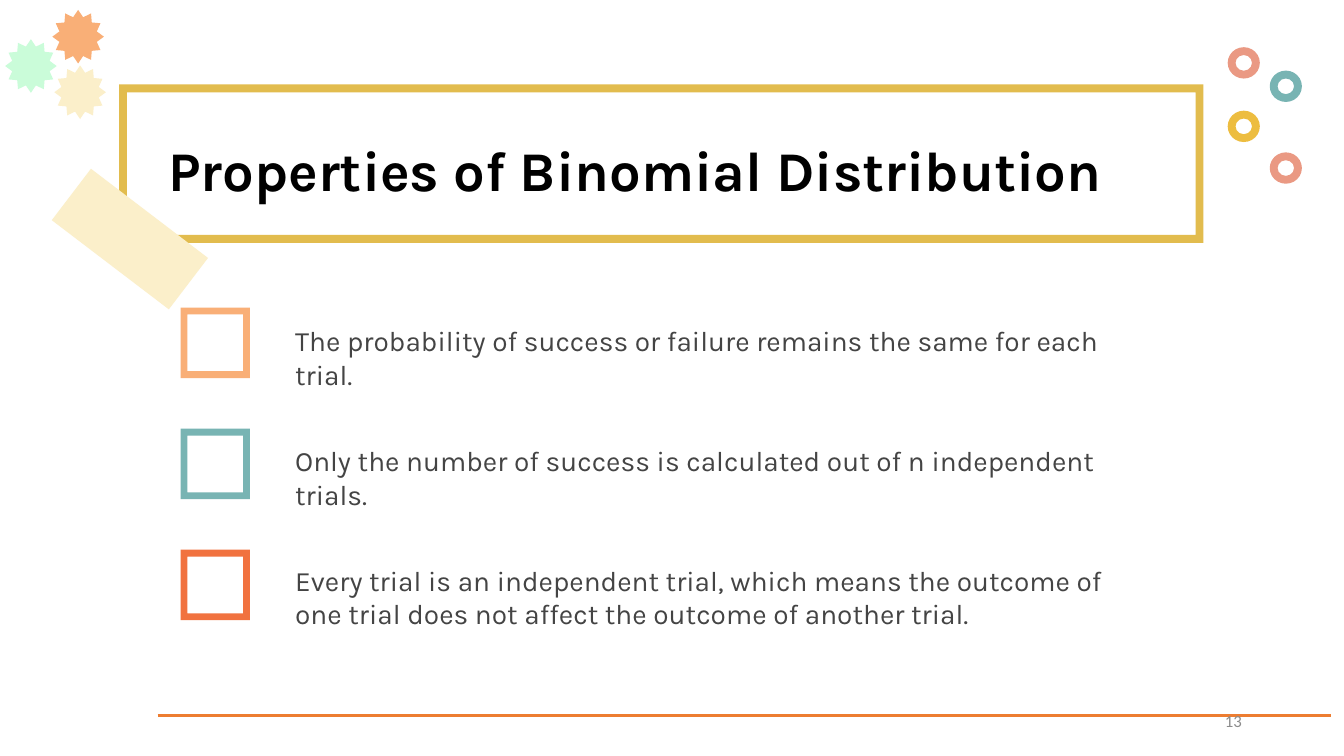
from dataclasses import dataclass

from lxml.etree import SubElement
from pptx import Presentation
from pptx.dml.color import RGBColor
from pptx.enum.shapes import MSO_CONNECTOR, MSO_SHAPE
from pptx.enum.text import MSO_ANCHOR, PP_ALIGN
from pptx.oxml.ns import qn
from pptx.util import Cm, Pt


@dataclass(frozen=True)
class Theme:
    gold: str = "E2BC4E"
    yellow: str = "EDBD40"
    cream: str = "FBEFCA"
    mint: str = "CAFCD9"
    peach: str = "F9AF77"
    coral: str = "EA9983"
    teal: str = "78B4B3"
    orange: str = "F1723F"
    rule: str = "ED7D31"
    black: str = "000000"
    body: str = "444444"
    muted: str = "8C8C8C"
    text_font: str = "Karla"
    number_font: str = "Calibri"
    title_size: int = 40
    body_size: int = 20
    number_size: int = 12


THEME = Theme()

PROPERTIES = [
    ("The probability of success or failure remains the same for each trial.", THEME.peach),
    ("Only the number of success is calculated out of n independent trials.", THEME.teal),
    ("Every trial is an independent trial, which means the outcome of one trial "
     "does not affect the outcome of another trial.", THEME.orange),
]
STARS = [(1.32, 0.25, THEME.peach), (1.37, 1.65, THEME.cream), (0.13, 0.99, THEME.mint)]
RINGS = [
    (30.94, 1.19, THEME.coral),
    (32, 1.78, THEME.teal),
    (30.94, 2.79, THEME.yellow),
    (32, 3.84, THEME.coral),
]


def add_ornament(slide, preset, left, top, width, height, color, thickness=None):
    """Add a flat, borderless preset; thickness sets the first adjustment."""
    ornament = slide.shapes.add_shape(preset, Cm(left), Cm(top), Cm(width), Cm(height))
    ornament.shadow.inherit = False
    ornament.fill.solid()
    ornament.fill.fore_color.rgb = RGBColor.from_string(color)
    ornament.line.fill.background()
    if thickness is not None:
        ornament.adjustments[0] = thickness
    return ornament


def add_text(slide, wording, left, top, width, height, size, color,
             font=THEME.text_font, bold=False, align=PP_ALIGN.LEFT, anchor=MSO_ANCHOR.TOP):
    frame = slide.shapes.add_textbox(Cm(left), Cm(top), Cm(width), Cm(height)).text_frame
    frame.word_wrap = True
    frame.vertical_anchor = anchor
    paragraph = frame.paragraphs[0]
    paragraph.alignment = align
    run = paragraph.add_run()
    run.text = wording
    run.font.name = font
    run.font.size = Pt(size)
    run.font.bold = bold
    run.font.color.rgb = RGBColor.from_string(color)


def add_footer(slide):
    rule = slide.shapes.add_connector(
        MSO_CONNECTOR.STRAIGHT, Cm(3.97), Cm(18.03), Cm(33.55), Cm(18.03))
    rule.line.color.rgb = RGBColor.from_string(THEME.rule)
    rule.line.width = Pt(2.25)
    SubElement(rule._element.spPr, qn("a:effectLst"))
    add_text(slide, "13", 23.93, 17.65, 7.62, 1.02, THEME.number_size, THEME.muted,
             font=THEME.number_font, align=PP_ALIGN.RIGHT, anchor=MSO_ANCHOR.MIDDLE)


def add_title(slide):
    add_ornament(slide, MSO_SHAPE.FRAME, 3, 2.13, 27.33, 3.99, THEME.gold, 0.05)
    tape = add_ornament(slide, MSO_SHAPE.RECTANGLE, 1.42, 5.21, 3.71, 1.63, THEME.cream)
    tape.rotation = 37.3
    add_text(slide, "Properties of Binomial Distribution", 3.99, 3.28, 31.8, 1.96,
             THEME.title_size, THEME.black, bold=True)


def add_properties(slide):
    for row, (wording, color) in enumerate(PROPERTIES):
        add_ornament(slide, MSO_SHAPE.FRAME, 4.55, 7.75 + 3.05 * row, 1.75, 1.78, color, 0.1)
        add_text(slide, wording, 7.19, 8.03 + 3.02 * row, 22.02, 1.96,
                 THEME.body_size, THEME.body)


def add_corner_ornaments(slide):
    for left, top, color in RINGS:
        add_ornament(slide, MSO_SHAPE.DONUT, left, top, 0.81, 0.79, color)
    for left, top, color in STARS:
        add_ornament(slide, MSO_SHAPE.STAR_12_POINT, left, top, 1.3, 1.35, color)


def main():
    deck = Presentation()
    deck.slide_width, deck.slide_height = Cm(33.87), Cm(19.05)
    slide = deck.slides.add_slide(deck.slide_layouts[6])
    add_footer(slide)
    add_title(slide)
    add_properties(slide)
    add_corner_ornaments(slide)
    deck.save("out.pptx")


if __name__ == "__main__":
    main()
